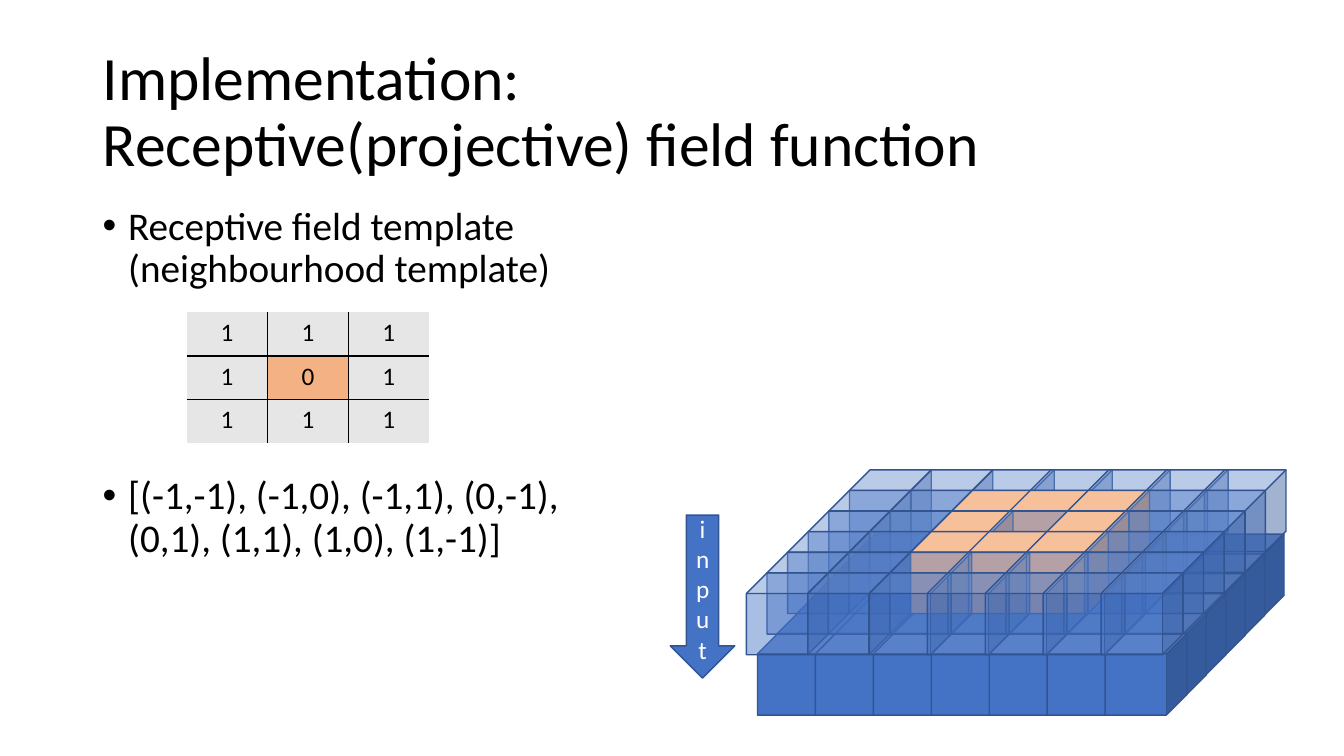
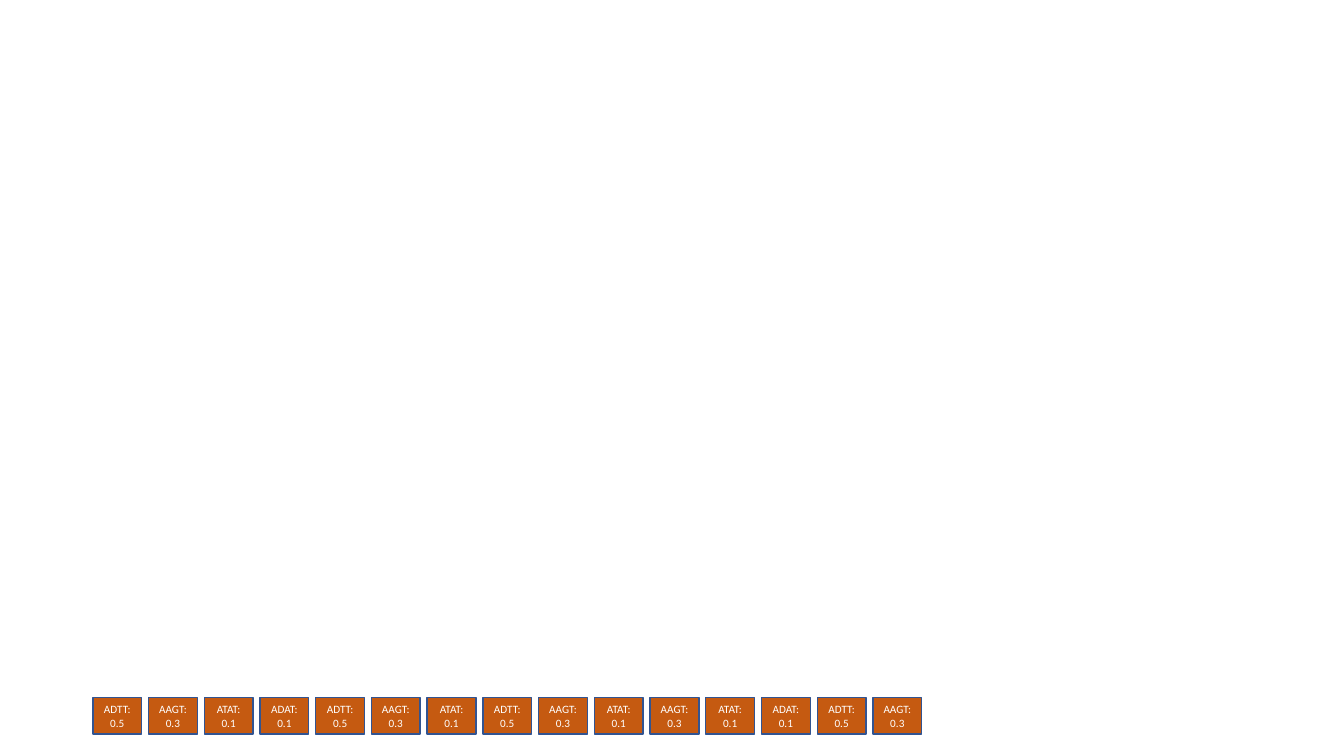
from lxml import etree
from pptx import Presentation
from pptx import util as u
from pptx.dml.color import RGBColor
from pptx.enum import shapes, text
from pptx.oxml import ns

BLUE, EDGE, PEACH, RUST = "4472C4", "325491", "F4B183", "C55A11"
GREY, BLACK, WHITE = "E7E6E6", "000000", "FFFFFF"
FONT = "Calibri"
PLAIN = "{2D5ABB26-0587-4C30-8999-92F81FD0307C}"


def paint(part, tone, alpha=100):
    part.solid()
    part.fore_color.rgb = RGBColor.from_string(tone)
    if alpha < 100:
        color = part._xPr.find(ns.qn("a:solidFill"))[0]
        etree.SubElement(color, ns.qn("a:alpha"), val=str(alpha * 1000))


def write(para, words, size, tone, align=text.PP_ALIGN.CENTER):
    para.alignment = align
    run = para.add_run()
    run.text = words
    run.font.name = FONT
    run.font.size = u.Pt(size)
    paint(run.font.fill, tone)


deck = Presentation()
deck.slide_width, deck.slide_height = u.Cm(33.87), u.Cm(19.05)
blank = deck.slide_layouts[6]

slide = deck.slides.add_slide(blank)

lower = [
    (21.54 - 0.49 * row + 1.46 * col, 13.46 + 0.5 * row,
     PEACH if (row, col) == (3, 3) else BLUE, 100, True)
    for row in range(6) for col in range(7)
]
upper = []
for row in range(6):
    for col in range(7):
        ring = row in (1, 2, 3) and col in (2, 3, 4) and (row, col) != (2, 3)
        left = 21.41 - 0.52 * row + 1.46 * col + 0.09 * min(col, 2)
        look = (PEACH, 100) if ring else (BLUE, 46)
        upper.append((left, 11.84 + 0.52 * row, *look, True))
ghosts = [(21.49, 13.44, BLUE, 17, False), (20.98, 13.94, BLUE, 17, False)]

cubes = [lower[0], ghosts[0], upper[0], *lower[1:], ghosts[1], *upper[1:]]
for left, top, tone, alpha, lined in cubes:
    cube = slide.shapes.add_shape(
        shapes.MSO_SHAPE.CUBE, u.Cm(left), u.Cm(top), u.Cm(2.06), u.Cm(2.06))
    cube.shadow.inherit = False
    paint(cube.fill, tone, alpha)
    if lined:
        paint(cube.line.fill, EDGE)
        cube.line.width = u.Pt(1)
    else:
        cube.line.fill.background()

title = slide.shapes.add_textbox(u.Cm(2.34), u.Cm(1.02), u.Cm(29.2), u.Cm(3.68))
frame = title.text_frame
frame.word_wrap = True
frame.vertical_anchor = text.MSO_ANCHOR.MIDDLE
para = frame.paragraphs[0]
para.line_spacing = 0.9
write(para, "Implementation:", 44, BLACK, text.PP_ALIGN.LEFT)
para.add_line_break()
write(para, "Receptive(projective) field function", 44, BLACK, text.PP_ALIGN.LEFT)

body = slide.shapes.add_textbox(u.Cm(2.34), u.Cm(5.08), u.Cm(13.06), u.Cm(12.09))
frame = body.text_frame
frame.word_wrap = True
points = [
    "Receptive field template (neighbourhood template)",
    "[(-1,-1), (-1,0), (-1,1), (0,-1), (0,1), (1,1), (1,0), (1,-1)]",
]
for num, point in enumerate(points):
    para = frame.add_paragraph() if num else frame.paragraphs[0]
    props = para._p.get_or_add_pPr()
    props.set("marL", str(u.Cm(0.64)))
    props.set("indent", str(u.Cm(-0.64)))
    etree.SubElement(props, ns.qn("a:buFont"), typeface="Arial")
    etree.SubElement(props, ns.qn("a:buChar"), char="•")
    para.line_spacing = 0.9
    if num:
        para.space_before = u.Pt(132)
    write(para, point, 28, BLACK, text.PP_ALIGN.LEFT)

grid = slide.shapes.add_table(
    3, 3, u.Cm(4.7), u.Cm(7.87), u.Cm(6.12), u.Cm(3.3)).table
grid.first_row = grid.horz_banding = False
grid._tbl.tblPr.find(ns.qn("a:tableStyleId")).text = PLAIN
for row in range(3):
    for col in range(3):
        cell = grid.cell(row, col)
        mid = (row, col) == (1, 1)
        sides = {"L": col > 0, "R": col < 2, "T": row > 0, "B": row < 2}
        props = cell._tc.get_or_add_tcPr()
        for side, inner in sides.items():
            if inner:
                line = etree.SubElement(
                    props, ns.qn("a:ln" + side), w=str(u.Pt(1)))
                fill = etree.SubElement(line, ns.qn("a:solidFill"))
                etree.SubElement(fill, ns.qn("a:srgbClr"), val=BLACK)
        paint(cell.fill, PEACH if mid else GREY)
        write(cell.text_frame.paragraphs[0], "0" if mid else "1", 18, BLACK)

strip = deck.slides.add_slide(blank)
codes = {"ADTT": "0.5", "AAGT": "0.3", "ATAT": "0.1", "ADAT": "0.1"}
order = ("ADTT AAGT ATAT ADAT ADTT AAGT ATAT ADTT "
         "AAGT ATAT AAGT ATAT ADAT ADTT AAGT").split()
step = 19.66 / (len(order) - 1)

labels = [(slide, shapes.MSO_SHAPE.DOWN_ARROW, (16.89, 12.98, 1.63, 4.11),
           BLUE, "input", 18)]
for num, code in enumerate(order):
    labels.append((strip, shapes.MSO_SHAPE.RECTANGLE,
                   (2.34 + step * num, 17.58, 1.23, 0.92),
                   RUST, f"{code}: {codes[code]}", 8))
for page, kind, place, tone, words, size in labels:
    label = page.shapes.add_shape(kind, *map(u.Cm, place))
    label.shadow.inherit = False
    paint(label.fill, tone)
    paint(label.line.fill, EDGE)
    label.line.width = u.Pt(1)
    frame = label.text_frame
    frame.word_wrap = True
    frame.vertical_anchor = text.MSO_ANCHOR.MIDDLE
    write(frame.paragraphs[0], words, size, WHITE)

deck.save("out.pptx")
